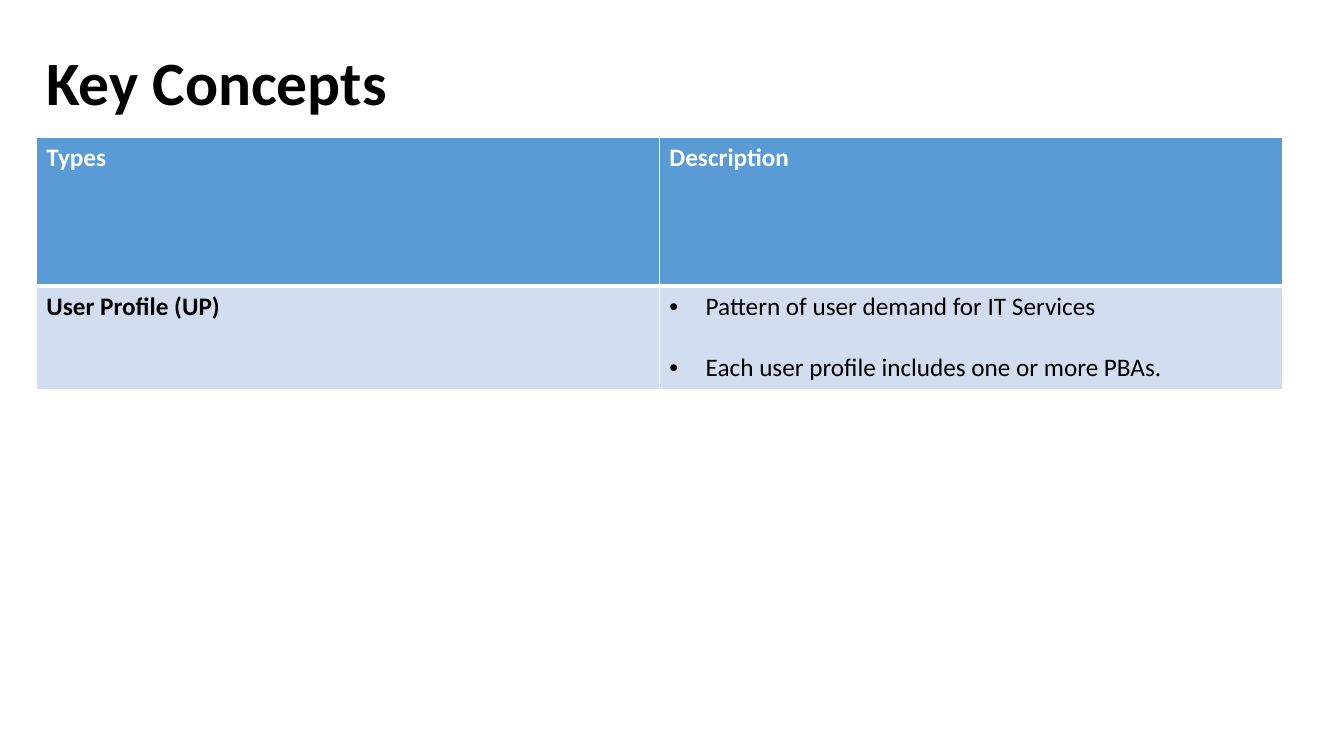
import pptx
import pptx.util
import pptx.dml.color
import pptx.enum.text
import pptx.oxml.ns
import lxml.etree

PX = 9144  # EMU per px, 100 px to the inch
FONT = "Calibri"
WHITE, BLACK, HEADER_BLUE, BAND_BLUE = "FFFFFF", "000000", "5B9BD5", "D2DEEF"
BULLET_INDENT = 36


def style_runs(paragraph, size, color, bold):
    for run in paragraph.runs:
        run.font.name = FONT
        run.font.size = pptx.util.Pt(size)
        run.font.bold = bold
        run.font.color.rgb = pptx.dml.color.RGBColor.from_string(color)


def add_xml(parent, tag, **attributes):
    return lxml.etree.SubElement(parent, pptx.oxml.ns.qn(tag), attributes)


presentation = pptx.Presentation()
presentation.slide_width = 1333 * PX
presentation.slide_height = 750 * PX
slide = presentation.slides.add_slide(presentation.slide_layouts[5])

# Title
title = slide.shapes.title
title.left, title.top, title.width, title.height = 36 * PX, 12 * PX, 1150 * PX, 145 * PX
title.text_frame.text = "Key Concepts"
title.text_frame.vertical_anchor = pptx.enum.text.MSO_ANCHOR.MIDDLE
heading = title.text_frame.paragraphs[0]
heading.alignment = pptx.enum.text.PP_ALIGN.LEFT
heading.line_spacing = 0.9
style_runs(heading, 44, BLACK, True)

# Table: text, text colour and fill by row
rows = [
    (148, WHITE, HEADER_BLUE, ["Types", "Description"]),
    (103, BLACK, BAND_BLUE, [
        "User Profile (UP)",
        "Pattern of user demand for IT Services\nEach user profile includes one or more PBAs.",
    ]),
]
table = slide.shapes.add_table(2, 2, 36 * PX, 136 * PX, 1236 * PX, 251 * PX).table
for row_index, (height, text_color, fill_color, texts) in enumerate(rows):
    table.rows[row_index].height = height * PX
    for column_index, text in enumerate(texts):
        cell = table.cell(row_index, column_index)
        cell.text_frame.text = text

        # White borders, thicker under the header
        header_edge = "a:lnB" if row_index == 0 else "a:lnT"
        properties = cell._tc.get_or_add_tcPr()
        for edge in ("a:lnL", "a:lnR", "a:lnT", "a:lnB"):
            points = 3 if edge == header_edge else 1
            line = add_xml(properties, edge, w=str(pptx.util.Pt(points)))
            add_xml(add_xml(line, "a:solidFill"), "a:srgbClr", val=WHITE)
        cell.fill.solid()
        cell.fill.fore_color.rgb = pptx.dml.color.RGBColor.from_string(fill_color)

        is_list = row_index == 1 and column_index == 1
        for paragraph in cell.text_frame.paragraphs:
            style_runs(paragraph, 18, text_color, not is_list)

# Bulleted description
description = table.cell(1, 1).text_frame.paragraphs
for paragraph in description:
    paragraph_properties = paragraph._p.get_or_add_pPr()
    paragraph_properties.set("marL", str(BULLET_INDENT * PX))
    paragraph_properties.set("indent", str(-BULLET_INDENT * PX))
    add_xml(paragraph_properties, "a:buFont", typeface="Arial")
    add_xml(paragraph_properties, "a:buChar", char="•")
description[1].space_before = pptx.util.Pt(22)

presentation.save("out.pptx")
